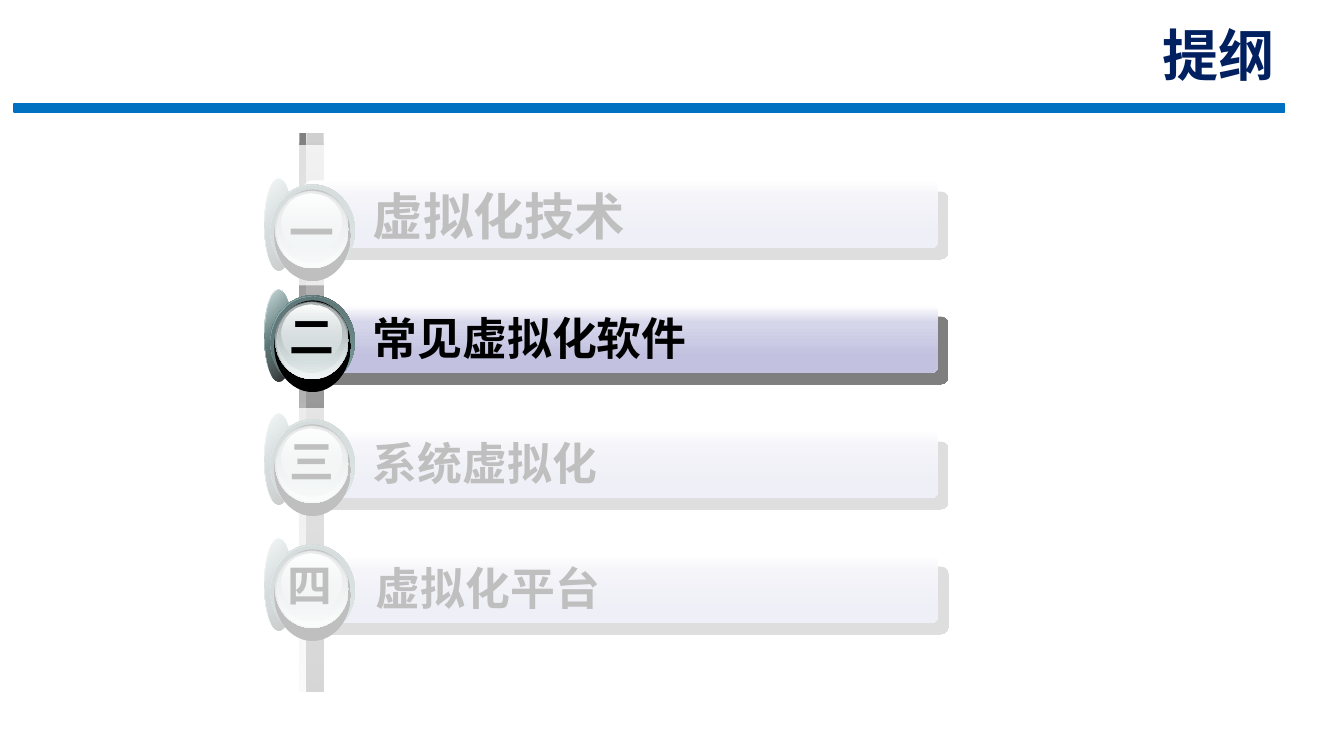
from dataclasses import dataclass

from lxml import etree
from pptx import Presentation
from pptx.dml.color import RGBColor
from pptx.enum.shapes import MSO_SHAPE as SHAPE
from pptx.enum.text import MSO_ANCHOR as ANCHOR, MSO_AUTO_SIZE as AUTO, PP_ALIGN as ALIGN
from pptx.oxml.ns import qn
from pptx.util import Inches, Pt

COLORS = {
    "white": "FFFFFF", "black": "000000", "navy": "002060", "blue": "0070C0",
    "gray": "808080", "pale_gray": "ECECEC", "light_gray": "CFCFCF", "dark_gray": "5F5F5F",
    "lilac": "D6D6EB", "violet": "C2C2E0",
    "teal": "83A6A7", "dark_teal": "475A5A", "mid_teal": "53696A",
    "slate": "636869", "silver": "AAB2B3", "ice": "D6E1E2", "frost": "F1F5F5",
}
FONT = "Noto Sans CJK SC"
BAR_RIGHT, BAR_PITCH, FIRST_BAR = 9.31, 1.24, 1.79

# Each layer: left, top, width, height from the badge corner; angle; (position, colour, alpha) stops
BADGE_LAYERS = [
    (0, 0, 0.28, 0.91, 45, [(0, "white"), (50, "teal"), (100, "white")]),
    (0, 0, 0.28, 0.91, 45, [(0, "teal", 32), (100, "black", 90)]),
    (0.06, 0.06, 0.84, 0.91, 315, [(0, "dark_teal"), (50, "teal"), (100, "dark_teal")]),
    (0.06, 0.07, 0.84, 0.91, 45, [(0, "mid_teal"), (100, "teal", 0)]),
    (0.1, 0.11, 0.76, 0.91, 0, [(0, "black"), (100, "black")]),
    (0.11, 0.12, 0.73, 0.77, 90, [(0, "slate"), (100, "ice")]),
    (0.12, 0.13, 0.71, 0.75, 90, [(0, "ice", 0), (100, "frost")]),
    (0.13, 0.13, 0.68, 0.7, 90, [(0, "silver"), (100, "ice", 48)]),
    (0.17, 0.15, 0.6, 0.57, 90, [(0, "white"), (100, "ice", 38)]),
]


@dataclass
class Topic:
    numeral: str
    text: str
    badge_top: float
    numeral_top: float
    size: int = 32
    bar_left: float = 3.02
    text_left: float = 3.6
    numeral_left: float = 2.77


TOPICS = [
    Topic("一", "虚拟化技术", 1.77, 1.98, size=36),
    Topic("二", "常见虚拟化软件", 2.87, 3.01),
    Topic("三", "系统虚拟化", 4.1, 4.25),
    Topic("四", "虚拟化平台", 5.34, 5.48, bar_left=2.93, text_left=3.63, numeral_left=2.75),
]


def rgb(name):
    return RGBColor.from_string(COLORS[name])


def add_color(parent, name, alpha=100):
    clr = etree.SubElement(parent, qn("a:srgbClr"), val=COLORS[name])
    if alpha < 100:
        etree.SubElement(clr, qn("a:alpha"), val=str(alpha * 1000))


def add_block(shapes, kind, box):
    """Add a preset shape without outline or shadow."""
    sp = shapes.add_shape(kind, *map(Inches, box))
    sp.line.fill.background()
    sp.shadow.inherit = False
    return sp


def fill_gradient(sp, angle, stops):
    sp.fill.background()
    spPr = sp._element.spPr
    grad = etree.Element(qn("a:gradFill"), rotWithShape="1")
    gs_list = etree.SubElement(grad, qn("a:gsLst"))
    for pos, *color in stops:
        add_color(etree.SubElement(gs_list, qn("a:gs"), pos=str(pos * 1000)), *color)
    etree.SubElement(grad, qn("a:lin"), ang=str(angle * 60000), scaled="0")
    spPr.replace(spPr.find(qn("a:noFill")), grad)


def cast_shadow(sp):
    effects = sp._element.spPr.find(qn("a:effectLst"))
    shadow = etree.SubElement(effects, qn("a:outerShdw"), blurRad="0", dist=str(Pt(10.6)),
                              dir=str(49 * 60000), algn="ctr", rotWithShape="0")
    add_color(shadow, "black", 50)


def style_text(tf, text, size, color, latin=FONT):
    tf.text = text
    p = tf.paragraphs[0]
    p.font.name, p.font.size, p.font.bold = latin, Pt(size), True
    p.font.color.rgb = rgb(color)
    for r in p.runs:
        rPr = r._r.get_or_add_rPr()
        etree.SubElement(rPr, qn("a:ea"), typeface=FONT)
    return p


def add_label(shapes, box, text, size, wrap):
    tf = shapes.add_textbox(*map(Inches, box)).text_frame
    tf.word_wrap, tf.auto_size = wrap, AUTO.SHAPE_TO_FIT_TEXT
    style_text(tf, text, size, "black")


def add_header(slide):
    rule = add_block(slide.shapes, SHAPE.RECTANGLE, (0.14, 1.03, 12.6, 0.08))
    rule.fill.solid()
    rule.fill.fore_color.rgb = rule.line.color.rgb = rgb("blue")
    rule.line.width = Pt(1)
    title = slide.shapes.title
    title.left, title.top, title.width, title.height = map(Inches, (6.41, 0.34, 6.33, 0.58))
    tf = title.text_frame
    tf.auto_size, tf.vertical_anchor = AUTO.NONE, ANCHOR.BOTTOM
    style_text(tf, "提纲", 40, "navy", latin="Roboto").alignment = ALIGN.RIGHT


def add_rail(slide, left, top, height):
    for dx, width, start, end in [(0, 0.07, "gray", "pale_gray"),
                                  (0.07, 0.17, "light_gray", "dark_gray")]:
        strip = add_block(slide.shapes, SHAPE.RECTANGLE, (left + dx, top, width, height))
        fill_gradient(strip, 90, [(0, start), (100, end)])


def add_badge(shapes, left, top):
    for dx, dy, width, height, angle, stops in BADGE_LAYERS:
        disc = add_block(shapes, SHAPE.OVAL, (left + dx, top + dy, width, height))
        fill_gradient(disc, angle, stops)


def add_topic(slide, topic, top):
    shapes = slide.shapes.add_group_shape().shapes
    bar = add_block(shapes, SHAPE.ROUNDED_RECTANGLE,
                    (topic.bar_left, top, BAR_RIGHT - topic.bar_left, 0.67))
    bar.adjustments[0] = 0.11
    fill_gradient(bar, 90, [(0, "white"), (25, "lilac"), (75, "violet")])
    cast_shadow(bar)
    add_label(shapes, (topic.text_left, top, 5.17, 0.64), topic.text, topic.size, True)
    add_badge(shapes, 2.62, topic.badge_top)
    add_label(shapes, (topic.numeral_left, topic.numeral_top, 0.63, 0.64),
              topic.numeral, 32, False)


def add_veil(slide, box):
    """Fade the topics that are not current."""
    veil = add_block(slide.shapes, SHAPE.RECTANGLE, box)
    veil.fill.solid()
    veil.fill.fore_color.rgb = rgb("white")
    clr = veil._element.spPr.find(qn("a:solidFill")).find(qn("a:srgbClr"))
    etree.SubElement(clr, qn("a:alpha"), val="75000")


def main():
    prs = Presentation()
    prs.slide_width, prs.slide_height = Inches(13.33), Inches(7.5)
    slide = prs.slides.add_slide(prs.slide_layouts[5])
    add_header(slide)
    add_rail(slide, 2.97, 1.32, 5.55)
    for i, topic in enumerate(TOPICS):
        add_topic(slide, topic, FIRST_BAR + i * BAR_PITCH)
    add_veil(slide, (1.33, 1.44, 9.06, 1.39))
    add_veil(slide, (1.59, 4.05, 9.06, 2.85))
    prs.save("out.pptx")


if __name__ == "__main__":
    main()
